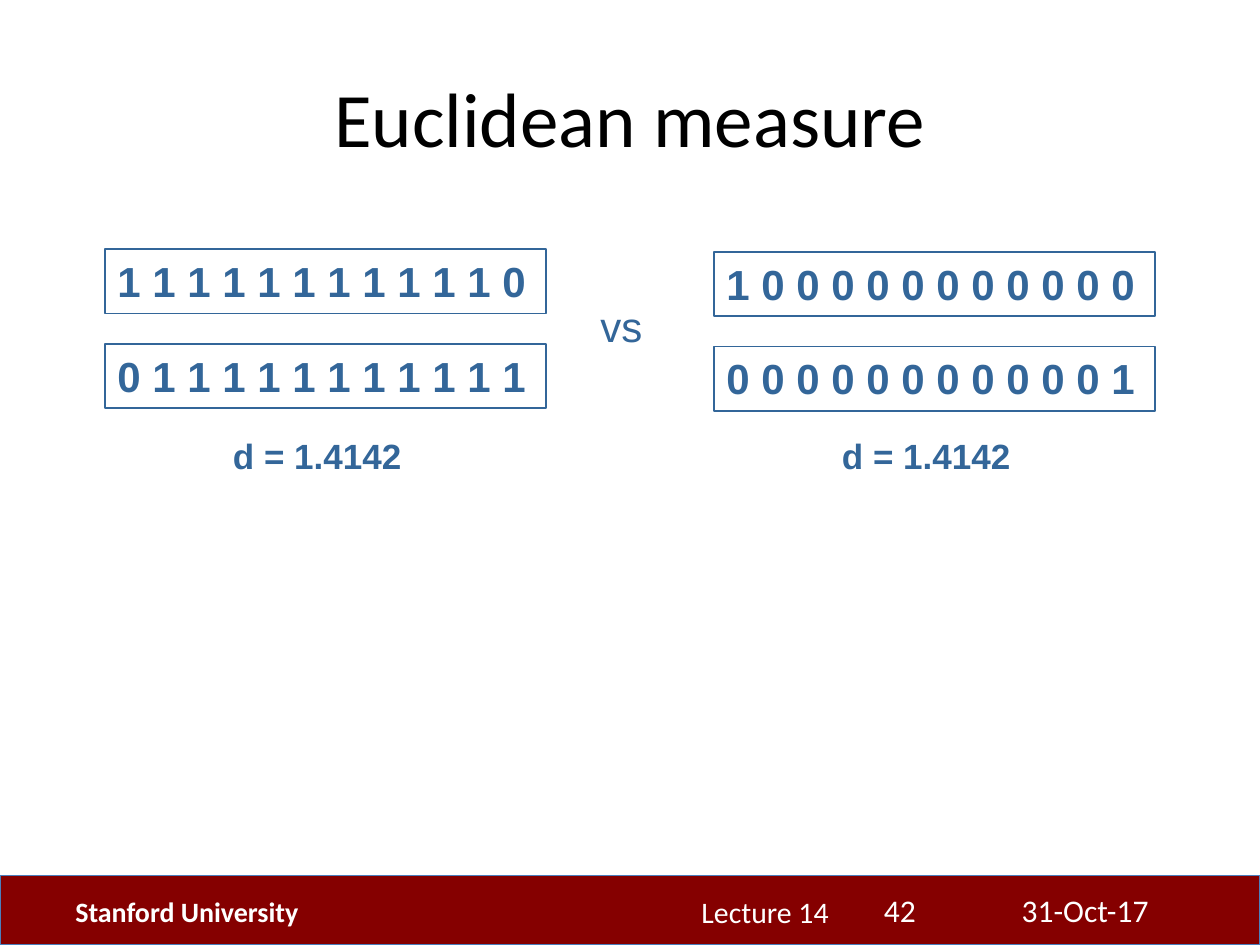
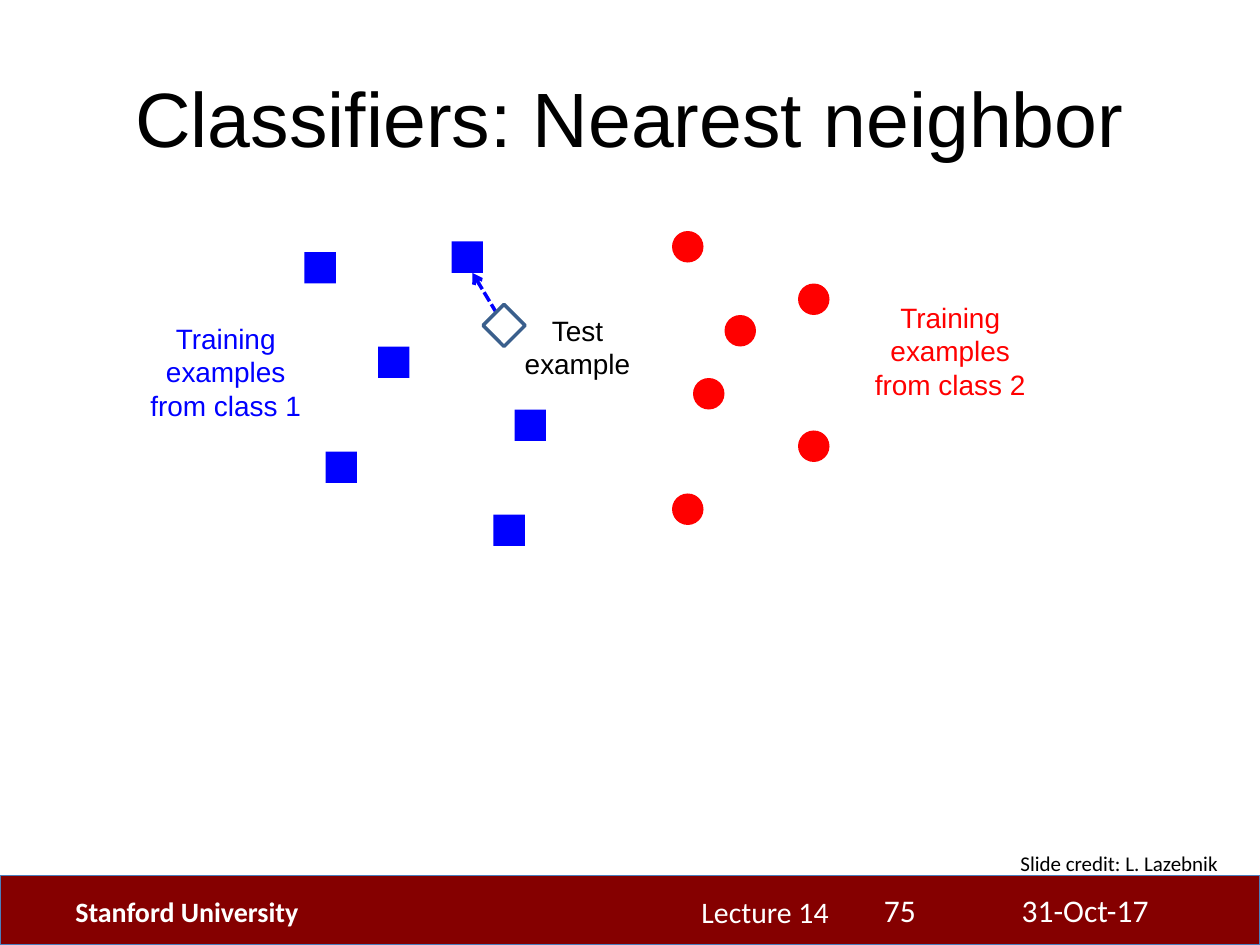
from dataclasses import dataclass

from lxml import etree
from pptx import Presentation
from pptx.dml.color import RGBColor
from pptx.enum.dml import MSO_LINE
from pptx.enum.shapes import MSO_CONNECTOR, MSO_SHAPE
from pptx.enum.text import MSO_ANCHOR, PP_ALIGN
from pptx.oxml.ns import qn
from pptx.util import Pt

EMU_PER_PX = 9525
RECTANGLE, OVAL, DIAMOND = MSO_SHAPE.RECTANGLE, MSO_SHAPE.OVAL, MSO_SHAPE.DIAMOND
STRAIGHT, DASH = MSO_CONNECTOR.STRAIGHT, MSO_LINE.SQUARE_DOT
LEFT, CENTER = PP_ALIGN.LEFT, PP_ALIGN.CENTER
TOP, MIDDLE = MSO_ANCHOR.TOP, MSO_ANCHOR.MIDDLE


@dataclass(frozen=True)
class TextStyle:
    size: int
    color: str
    font: str = "Calibri"
    bold: bool = False
    align: PP_ALIGN = LEFT
    anchor: MSO_ANCHOR = TOP


class Theme:
    band, band_line = "850000", "4B7EBC"
    steel, white, black = "336699", "FFFFFF", "000000"
    class_1, class_2 = "0000FF", "FF0000"
    test_line = "3A5F8C"

    university = TextStyle(16, white, bold=True)
    lecture = TextStyle(17, white)
    footer = TextStyle(18, white)
    credit = TextStyle(12, black)
    bits = TextStyle(24, steel, "Arial", bold=True)
    versus = TextStyle(24, steel, "Arial")
    distance = TextStyle(20, steel, "Arial", bold=True)

    @staticmethod
    def title(font):
        return TextStyle(44, Theme.black, font, align=CENTER, anchor=MIDDLE)

    @staticmethod
    def label(color):
        return TextStyle(16, color, "Arial", align=CENTER)


def px(*lengths):
    return [length * EMU_PER_PX for length in lengths]


def rgb(color):
    return RGBColor.from_string(color)


def write(box, text, style, wrap=True):
    frame = box.text_frame
    frame.word_wrap = wrap
    frame.vertical_anchor = style.anchor
    para = frame.paragraphs[0]
    para.alignment = style.align
    span = para.add_run()
    span.text = text
    span.font.name = style.font
    span.font.size = Pt(style.size)
    span.font.bold = style.bold
    span.font.color.rgb = rgb(style.color)


def add_text(page, place, text, style, wrap=True):
    write(page.shapes.add_textbox(*px(*place)), text, style, wrap)


def add_figure(page, kind, place, fill=None, line=None, line_width=1):
    figure = page.shapes.add_shape(kind, *px(*place))
    figure.shadow.inherit = False
    if fill:
        figure.fill.solid()
        figure.fill.fore_color.rgb = rgb(fill)
    else:
        figure.fill.background()
    if line:
        figure.line.color.rgb = rgb(line)
        figure.line.width = Pt(line_width)
    else:
        figure.line.fill.background()
    return figure


def add_dashed_arrow(page, start, end, color):
    arrow = page.shapes.add_connector(STRAIGHT, *px(*start, *end))
    arrow.line.color.rgb = rgb(color)
    arrow.line.width = Pt(2)
    arrow.line.dash_style = DASH
    etree.SubElement(arrow.line._get_or_add_ln(), qn("a:tailEnd"), type="arrow")
    etree.SubElement(arrow._element.spPr, qn("a:effectLst"))


def add_page(deck, title, title_font, number):
    """Add a blank slide with the shared title and footer band."""
    page = deck.slides.add_slide(deck.slide_layouts[6])
    add_figure(page, RECTANGLE, (0, 667, 960, 53), Theme.band, Theme.band_line, 0.75)
    add_text(page, (525, 676, 130, 36), "Lecture 14", Theme.lecture)
    add_text(page, (48, 677, 277, 36), "Stanford University", Theme.university)
    add_text(page, (48, 29, 864, 120), title, Theme.title(title_font))
    add_text(page, (769, 674, 167, 38), "31-Oct-17", Theme.footer)
    add_text(page, (664, 674, 106, 38), str(number), Theme.footer)
    return page


def add_vector_pair(page, left, top, vectors, distance):
    """Stack two boxed bit vectors above their distance."""
    for row, vector in enumerate(vectors):
        box = add_figure(page, RECTANGLE, (left, top + 72 * row, 336, 49), line=Theme.steel)
        write(box, " ".join(vector), Theme.bits)
    add_text(page, (left + 88, 326, 176, 41), distance, Theme.distance)


def add_samples(page, kind, color, corners):
    for corner in corners:
        add_figure(page, kind, (*corner, 24, 24), color)


def add_euclidean_page(deck):
    page = add_page(deck, "Euclidean measure", "Calibri", 42)
    add_vector_pair(page, 80, 190, ("111111111110", "011111111111"), "d = 1.4142")
    add_vector_pair(page, 544, 192, ("100000000000", "000000000001"), "d = 1.4142")
    add_text(page, (448, 224, 59, 64), "vs", Theme.versus)


def add_neighbor_page(deck):
    page = add_page(deck, "Classifiers: Nearest neighbor", "Arial", 75)
    add_samples(page, RECTANGLE, Theme.class_1, [
        (232, 192), (288, 264), (344, 184), (248, 344), (392, 312), (376, 392)])
    add_samples(page, OVAL, Theme.class_2, [
        (608, 216), (528, 288), (608, 328), (512, 176), (552, 240), (512, 376)])

    add_text(page, (384, 234, 112, 61), "Test example", Theme.label(Theme.black))
    add_text(page, (104, 240, 136, 87), "Training examples from class 1",
             Theme.label(Theme.class_1))
    add_text(page, (656, 224, 136, 87), "Training examples from class 2",
             Theme.label(Theme.class_2))

    add_dashed_arrow(page, (384, 248), (360, 208), Theme.class_1)
    add_figure(page, DIAMOND, (368, 232, 32, 32), Theme.white, Theme.test_line, 2)
    add_text(page, (768, 643, 172, 29), "Slide credit: L. Lazebnik", Theme.credit, wrap=False)


def main():
    deck = Presentation()
    deck.slide_width, deck.slide_height = px(960, 720)
    add_euclidean_page(deck)
    add_neighbor_page(deck)
    deck.save("out.pptx")


if __name__ == "__main__":
    main()
